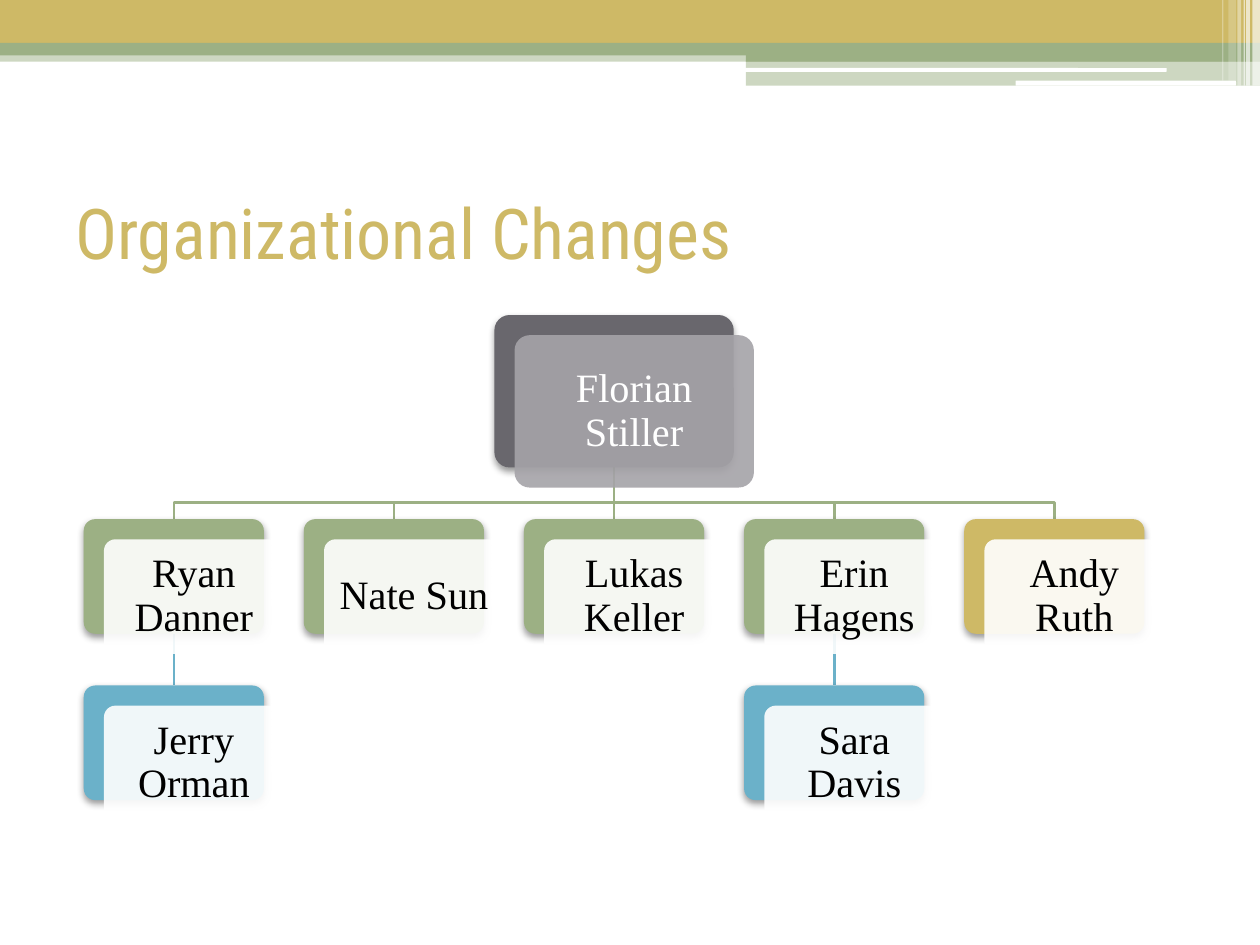
from lxml.etree import SubElement
from pptx import Presentation
from pptx.dml.color import RGBColor
from pptx.enum.shapes import MSO_CONNECTOR, MSO_SHAPE
from pptx.enum.text import MSO_ANCHOR, PP_ALIGN
from pptx.oxml.ns import qn
from pptx.util import Inches, Pt

GOLD = RGBColor(0xCE, 0xB9, 0x66)
GREEN = RGBColor(0x9C, 0xB0, 0x84)
BLUE = RGBColor(0x6B, 0xB1, 0xC9)
DARK_GRAY = RGBColor(0x69, 0x67, 0x6D)
LIGHT_GRAY = RGBColor(0xA5, 0xA3, 0xA8)
WHITE = RGBColor(0xFF, 0xFF, 0xFF)
BLACK = RGBColor(0, 0, 0)

TITLE = "Organizational Changes"
LEADER = "Florian Stiller"
REPORTS = [
    ("Ryan Danner", GREEN, "Jerry Orman"),
    ("Nate Sun", GREEN, None),
    ("Lukas Keller", GREEN, None),
    ("Erin Hagens", GREEN, "Sara Davis"),
    ("Andy Ruth", GOLD, None),
]

RECT, ROUND = MSO_SHAPE.RECTANGLE, MSO_SHAPE.ROUNDED_RECTANGLE
BANNER = [
    (RECT, 0, 0.4, 10, 0.09, GREEN, 50),
    (RECT, 0, 0, 10, 0.34, GOLD, 100),
    (RECT, 0, 0.34, 10, 0.1, GREEN, 100),
    (RECT, 5.92, 0.39, 4.08, 0.1, GREEN, 100),
    (RECT, 5.92, 0.48, 4.08, 0.2, GREEN, 50),
    (ROUND, 5.91, 0.54, 3.35, 0.03, WHITE, 100),
    (ROUND, 8.06, 0.64, 1.75, 0.04, WHITE, 100),
    (RECT, 9.94, 0, 0.06, 0.68, WHITE, 65),
    (RECT, 9.89, 0, 0.03, 0.68, WHITE, 65),
    (RECT, 9.87, 0, 0.01, 0.68, WHITE, 60),
    (RECT, 9.82, 0, 0.03, 0.68, WHITE, 40),
    (RECT, 9.75, 0, 0.06, 0.64, WHITE, 20),
    (RECT, 9.7, 0, 0.01, 0.64, WHITE, 30),
]

LEADER_SIZE = (1.9, 1.21)
REPORT_SIZE = (1.43, 0.91)
LEADER_TOP, REPORT_TOP, ASSISTANT_TOP = 2.5, 4.12, 5.44
FIRST_CENTER, COLUMN_STEP = 1.38, 1.747
BRANCH_Y = 3.99
CARD_OFFSET = 0.16

prs = Presentation()
prs.slide_width, prs.slide_height = Inches(10), Inches(7.5)
slide = prs.slides.add_slide(prs.slide_layouts[6])
shapes = slide.shapes


def add_block(kind, left, top, width, height, color, opacity=100):
    block = shapes.add_shape(kind, Inches(left), Inches(top), Inches(width), Inches(height))
    block.shadow.inherit = False
    block.fill.solid()
    block.fill.fore_color.rgb = color
    block.line.fill.background()
    if opacity < 100:
        rgb = block.fill._xPr.find(qn("a:solidFill"))[0]
        SubElement(rgb, qn("a:alpha"), val=str(opacity * 1000))
    return block


def add_shadow(block):
    effects = block._element.spPr.find(qn("a:effectLst"))
    shadow = SubElement(effects, qn("a:outerShdw"), blurRad=str(Pt(4.1)), dist=str(Pt(2)),
                        dir="5400000", rotWithShape="0")
    rgb = SubElement(shadow, qn("a:srgbClr"), val="000000")
    SubElement(rgb, qn("a:alpha"), val="40000")


def add_person(name, center, top, size, back_color, card_color=WHITE, text_color=BLACK):
    left = center - size[0] / 2
    back = add_block(ROUND, left, top, *size, back_color)
    add_shadow(back)
    card = add_block(ROUND, left + CARD_OFFSET, top + CARD_OFFSET, *size, card_color, 90)
    back.adjustments[0] = card.adjustments[0] = 0.1
    frame = card.text_frame
    frame.word_wrap = True
    frame.vertical_anchor = MSO_ANCHOR.MIDDLE
    frame.margin_left = frame.margin_right = Inches(0.09)
    frame.margin_top = frame.margin_bottom = Inches(0.1)
    paragraph = frame.paragraphs[0]
    paragraph.text = name
    paragraph.alignment = PP_ALIGN.CENTER
    paragraph.line_spacing = 0.9
    paragraph.font.size = Pt(23)
    paragraph.font.name = "Times New Roman"
    paragraph.font.color.rgb = text_color


def style_line(link, color):
    link.line.color.rgb = color
    link.line.width = Pt(1.5)


def add_straight(x, top, bottom, color):
    link = shapes.add_connector(MSO_CONNECTOR.STRAIGHT, Inches(x), Inches(top),
                                Inches(x), Inches(bottom))
    SubElement(link._element.spPr, qn("a:effectLst"))
    style_line(link, color)


def add_branch(start_x, end_x, top, bottom, color):
    builder = shapes.build_freeform(Inches(start_x), Inches(top))
    corners = [(start_x, BRANCH_Y), (end_x, BRANCH_Y), (end_x, bottom)]
    builder.add_line_segments([(Inches(x), Inches(y)) for x, y in corners], close=False)
    link = builder.convert_to_shape()
    link.shadow.inherit = False
    link.fill.background()
    style_line(link, color)


for band in BANNER:
    add_block(*band)

title_box = shapes.add_textbox(Inches(0.5), Inches(1.25), Inches(9), Inches(1.17))
title_box.text_frame.word_wrap = True
title_box.text_frame.vertical_anchor = MSO_ANCHOR.MIDDLE
title = title_box.text_frame.paragraphs[0]
title.text = TITLE
title.font.size = Pt(40)
title.font.name = "Roboto Condensed"
title.font.color.rgb = GOLD

centers = [FIRST_CENTER + i * COLUMN_STEP for i in range(len(REPORTS))]
leader_center = centers[len(centers) // 2]
leader_bottom = LEADER_TOP + LEADER_SIZE[1]
report_bottom = REPORT_TOP + REPORT_SIZE[1]

for center, (_, _, assistant) in zip(centers, REPORTS):
    if center == leader_center:
        add_straight(center, leader_bottom, REPORT_TOP, GREEN)
    else:
        add_branch(leader_center, center, leader_bottom, REPORT_TOP, GREEN)
    if assistant:
        add_straight(center, report_bottom, ASSISTANT_TOP, BLUE)

add_person(LEADER, leader_center, LEADER_TOP, LEADER_SIZE, DARK_GRAY, LIGHT_GRAY, WHITE)
for center, (name, color, assistant) in zip(centers, REPORTS):
    add_person(name, center, REPORT_TOP, REPORT_SIZE, color)
    if assistant:
        add_person(assistant, center, ASSISTANT_TOP, REPORT_SIZE, BLUE)

prs.save("out.pptx")
